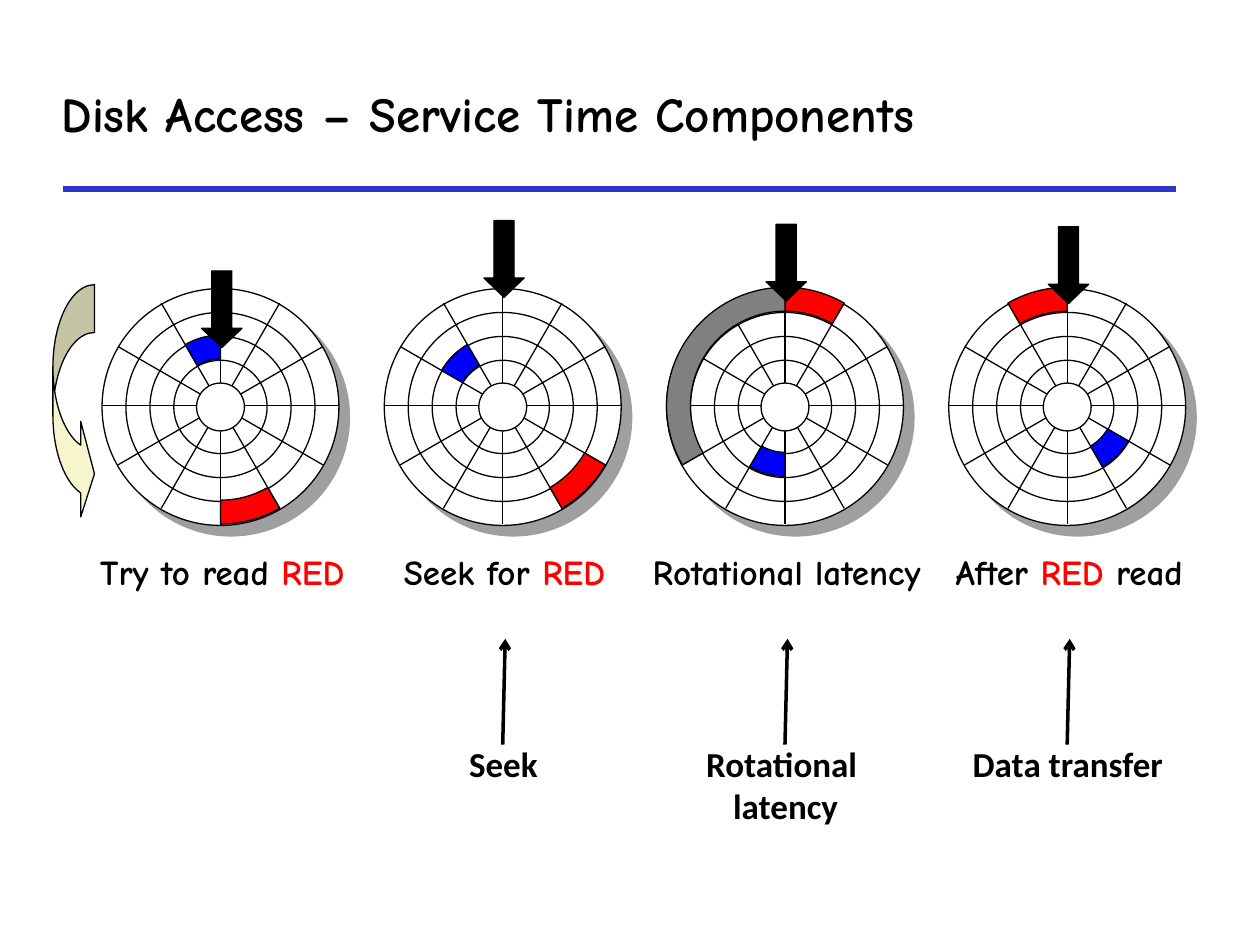
from math import cos, radians, sin

from lxml.etree import SubElement
from pptx import Presentation
from pptx.dml.color import RGBColor
from pptx.enum.shapes import MSO_CONNECTOR as Link, MSO_SHAPE as Preset
from pptx.enum.text import MSO_ANCHOR as Anchor, PP_ALIGN as Align
from pptx.oxml.ns import qn
from pptx.util import Inches, Pt

WIDTH, HEIGHT = 10, 7.5
BLACK, WHITE, RED, BLUE, GREY = "000000", "FFFFFF", "FF0000", "0000FF", "808080"

TITLE = "Disk Access – Service Time Components"
TITLE_FONT = {"name": "Comic Neue", "size": Pt(28), "bold": True}
CAPTION_FONT = {"name": "Comic Neue", "size": Pt(20), "bold": True}
PHASE_FONT = {"name": "Calibri", "size": Pt(20), "bold": True}

RADII = [0.94, 0.75, 0.56, 0.37, 0.19]
OUTER, INNER = (0.94, 0.75), (0.56, 0.37)
DISKS = [
    {"caption": [("Try to read ", BLACK), ("RED", RED)], "head_top": 2.15,
     "sectors": [(INNER, -30, 0, BLUE), (OUTER, 150, 180, RED)], "phase": []},
    {"caption": [("Seek for ", BLACK), ("RED", RED)], "head_top": 1.75,
     "sectors": [(OUTER, 120, 150, RED), (INNER, -60, -30, BLUE)],
     "phase": ["Seek"]},
    {"caption": [("Rotational latency", BLACK)], "head_top": 1.78,
     "sectors": [(OUTER, 0, 30, RED), (INNER, 180, 210, BLUE),
                 (OUTER, 240, 360, GREY)],
     "phase": ["Rotational ", "latency"]},
    {"caption": [("After ", BLACK), ("RED", RED), (" read", BLACK)],
     "head_top": 1.8,
     "sectors": [(OUTER, -30, 0, RED), (INNER, 120, 150, BLUE)],
     "phase": ["Data transfer"]},
]
FIRST_X, PITCH, DISK_Y = 1.75, 2.24, 3.22
CAPTION_Y, PHASE_Y, POINTER_Y = 4.32, 5.84, 5.07

deck = Presentation()
deck.slide_width, deck.slide_height = Inches(WIDTH), Inches(HEIGHT)
slide = deck.slides.add_slide(deck.slide_layouts[6])
shapes = slide.shapes


def color(value):
    return RGBColor.from_string(value)


def paint(shape, fill):
    shape.shadow.inherit = False
    shape.fill.solid()
    shape.fill.fore_color.rgb = color(fill)
    shape.line.color.rgb = color(BLACK)
    shape.line.width = Pt(0.75)
    return shape


def preset(kind, left, top, width, height, fill):
    return paint(shapes.add_shape(kind, *map(Inches, (left, top, width, height))), fill)


def line(start, end, stroke=BLACK, weight=0.75, arrow=False):
    link = shapes.add_connector(Link.STRAIGHT, *map(Inches, (*start, *end)))
    link.line.color.rgb = color(stroke)
    link.line.width = Pt(weight)
    if arrow:
        SubElement(link.line._get_or_add_ln(), qn("a:tailEnd"), type="arrow")
    SubElement(link._element.spPr, qn("a:effectLst"))


def text(left, top, width, height, paragraphs, font, align=Align.CENTER, anchor=Anchor.TOP):
    frame = shapes.add_textbox(*map(Inches, (left, top, width, height))).text_frame
    frame.word_wrap = True
    frame.vertical_anchor = anchor
    for index, parts in enumerate(paragraphs):
        paragraph = frame.add_paragraph() if index else frame.paragraphs[0]
        paragraph.alignment = align
        for words, ink in parts:
            run = paragraph.add_run()
            run.text = words
            run.font.color.rgb = color(ink)
            for key, value in font.items():
                setattr(run.font, key, value)


def polar(x, radius, degrees):
    angle = radians(degrees)
    return x + radius * sin(angle), DISK_Y + radius * cos(angle) * -1


def sector(x, ring, start, end, fill):
    far, near = ring
    sweep = range(start, end + 1, 3)
    outline = [polar(x, far, a) for a in sweep] + [polar(x, near, a) for a in reversed(sweep)]
    first, *rest = [tuple(map(Inches, point)) for point in outline]
    builder = shapes.build_freeform(*first)
    builder.add_line_segments(rest, close=True)
    paint(builder.convert_to_shape(), fill)


def circle(x, radius):
    return preset(Preset.OVAL, x - radius, DISK_Y - radius + 0.01, 2 * radius, 2 * radius, WHITE)


def cast_shadow(shape):
    effects = shape._element.spPr.find(qn("a:effectLst"))
    shadow = SubElement(effects, qn("a:outerShdw"), dist=str(Pt(8.5)), dir="2700000",
                        algn="ctr", rotWithShape="0")
    tint = SubElement(shadow, qn("a:srgbClr"), val=GREY)
    SubElement(tint, qn("a:alpha"), val="75000")


def disk(x, sectors, head_top):
    *rings, hub = RADII
    platter, *_ = [circle(x, radius) for radius in rings]
    cast_shadow(platter)
    for angle in range(0, 180, 30):
        line(polar(x, RADII[0], angle), polar(x, RADII[0], angle + 180))
    circle(x, hub)
    for part in sectors:
        sector(x, *part)
    head = preset(Preset.DOWN_ARROW, x - 0.15, head_top, 0.32, 0.61, BLACK)
    head.adjustments[1] = 0.48


line((0.5, 1.5), (9.33, 1.5), "3333CC", 3)
text(0.39, 0.48, 8.85, 0.83, [[(TITLE, BLACK)]], TITLE_FONT, Align.LEFT, Anchor.MIDDLE)

for column, content in enumerate(DISKS):
    x = FIRST_X + column * PITCH
    text(x - 1.32, CAPTION_Y, 2.67, 0.44, [content["caption"]], CAPTION_FONT)
    disk(x, content["sectors"], content["head_top"])
    if content["phase"]:
        lines = [[(words, BLACK)] for words in content["phase"]]
        text(x - 0.9, PHASE_Y, 1.81, 0.1 + 0.33 * len(lines), lines, PHASE_FONT)
        line((x, POINTER_Y + 0.84), (x + 0.02, POINTER_Y), BLACK, 2, True)

spin = preset(Preset.CURVED_RIGHT_ARROW, 0.42, 2.26, 0.33, 1.88, "F7F5CD")
for index, share in enumerate((1.15, 2.3, 0.33)):
    spin.adjustments[index] = share

deck.save("out.pptx")
